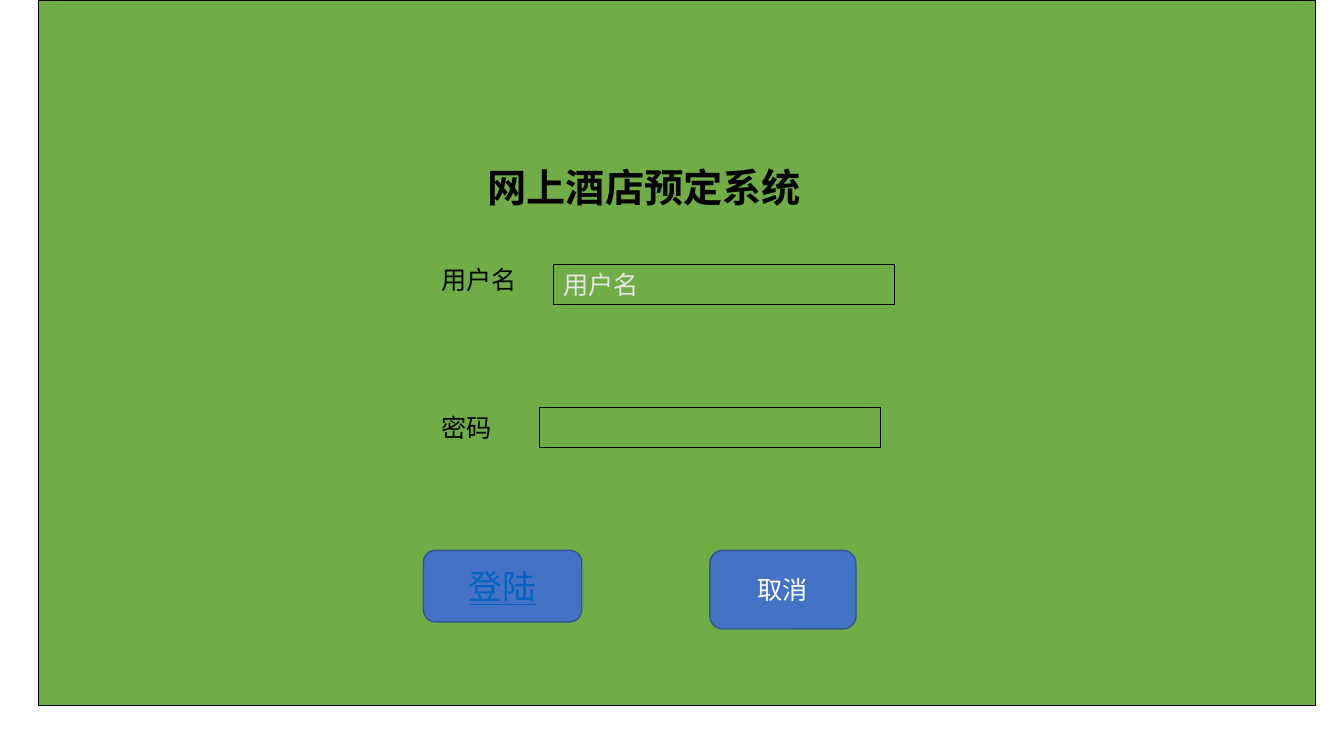
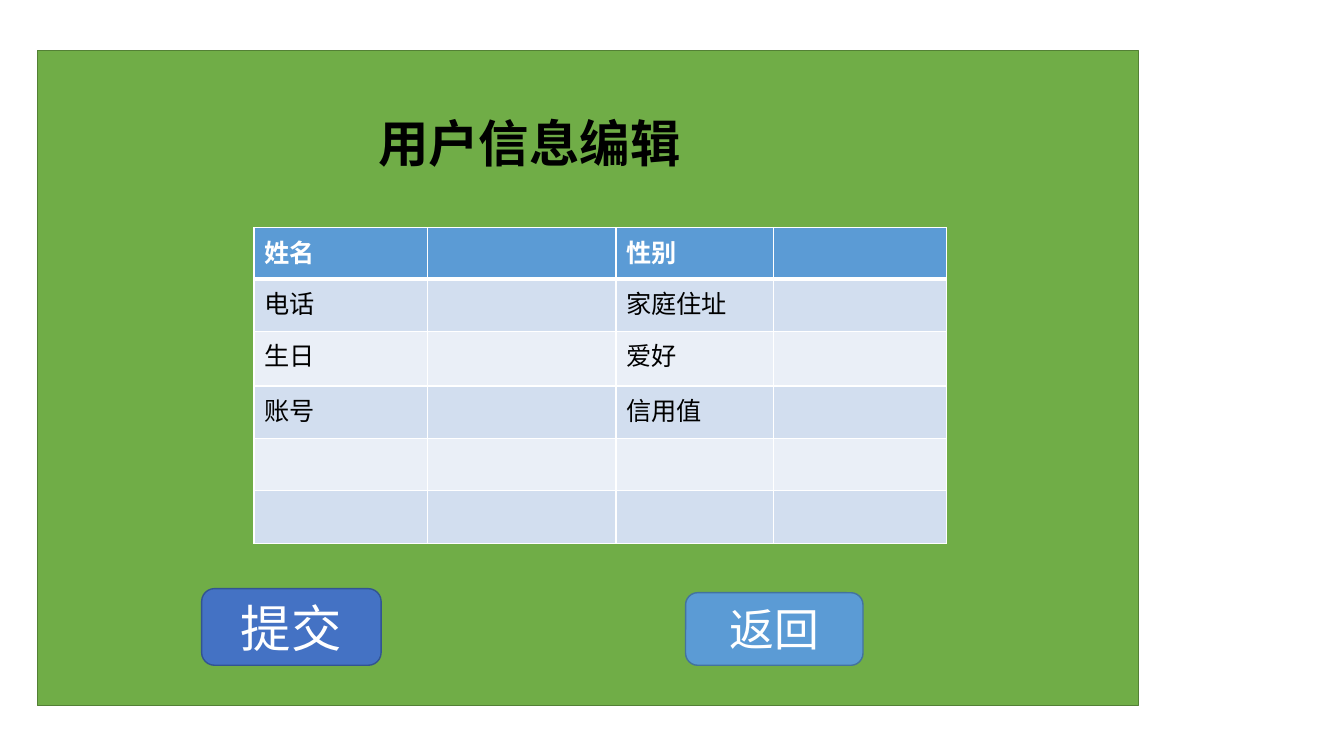
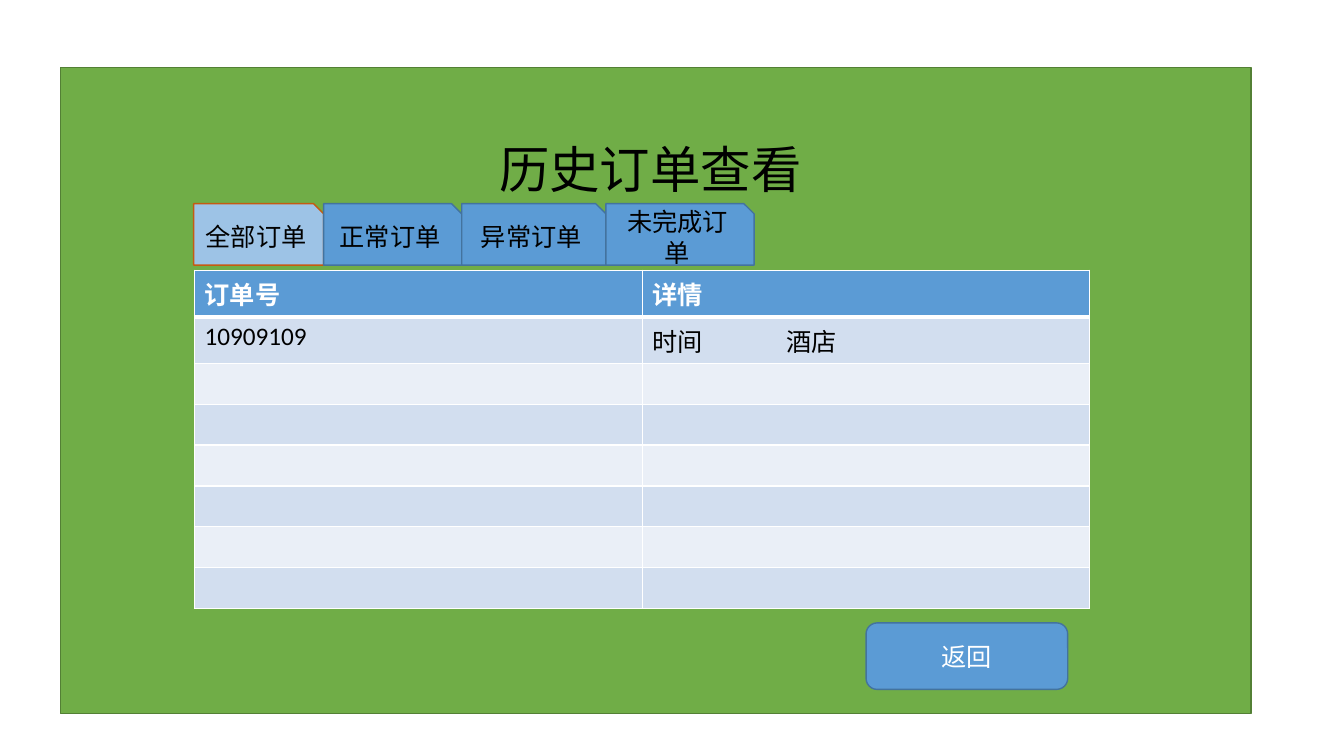
from itertools import accumulate
from lxml import etree
from pptx import Presentation
from pptx.dml.color import RGBColor
from pptx.enum.shapes import MSO_SHAPE as SHAPE
from pptx.enum.text import MSO_ANCHOR as ANCHOR, PP_ALIGN as ALIGN
from pptx.oxml.ns import qn
from pptx.util import Inches, Pt

rgb = RGBColor.from_string
FONT = "Calibri"
BLACK, WHITE, PALE_GREY = "000000", "FFFFFF", "E7E6E6"
GREEN, DARK_GREEN = "70AD47", "538035"
SKY, SKY_EDGE = "5B9BD5", "43739E"
BLUE, BLUE_EDGE = "4472C4", "325491"
LINK = "0563C1"
PALE_SKY, ORANGE = "9DC3E6", "C55A11"
BANDS = ["EAEFF7", "D2DEEF"]


def write(frame, text, size=18, color=BLACK, bold=False, align=ALIGN.LEFT):
    """Put one formatted run in the frame's first paragraph and return the run."""
    paragraph = frame.paragraphs[0]
    paragraph.alignment = align
    run = paragraph.add_run()
    run.text = text
    run.font.name, run.font.size, run.font.bold = FONT, Pt(size), bold
    run.font.color.rgb = rgb(color)
    return run


def add_box(slide, preset, place, fill, edge, width=1):
    box = slide.shapes.add_shape(preset, *map(Inches, place))
    box.shadow.inherit = False
    if fill:
        box.fill.solid()
        box.fill.fore_color.rgb = rgb(fill)
    else:
        box.fill.background()
    box.line.color.rgb = rgb(edge)
    box.line.width = Pt(width)
    box.text_frame.vertical_anchor = ANCHOR.MIDDLE
    return box


prs = Presentation()
prs.slide_width, prs.slide_height = Inches(13.33), Inches(7.5)
title_only = prs.slide_layouts[5]

# Green panel and title of every screen
screens = [
    ((0.38, 0, 12.67, 7), BLACK,
     "网上酒店预定系统", (3.5, 1.57, 5.78, 0.57), 28, True, ALIGN.CENTER),
    ((0.37, 0.5, 10.92, 6.5), DARK_GREEN,
     "用户信息编辑", (3.65, 1.06, 6.68, 0.7), 36, True, ALIGN.LEFT),
    ((0.6, 0.67, 11.81, 6.41), DARK_GREEN,
     "历史订单查看", (4.85, 1.32, 3.32, 0.71), 36, False, ALIGN.LEFT),
]
for panel_place, panel_edge, heading, place, size, bold, align in screens:
    slide = prs.slides.add_slide(title_only)
    panel = add_box(slide, SHAPE.RECTANGLE, panel_place, GREEN, panel_edge)
    slide.shapes._spTree.insert(2, panel._element)  # behind the title
    title = slide.shapes.title
    title.left, title.top, title.width, title.height = map(Inches, place)
    title.text_frame.vertical_anchor = ANCHOR.TOP
    write(title.text_frame, heading, size, bold=bold, align=align)
login, profile, orders = prs.slides

# Login fields
fields = [
    ("用户名", (4.28, 2.57, 1.07, 0.4), (5.49, 2.62, 3.38, 0.4), "用户名"),
    ("密码", (4.28, 4.04, 0.72, 0.4), (5.35, 4.04, 3.38, 0.4), ""),
]
for label, label_place, field_place, hint in fields:
    caption = login.shapes.add_textbox(*map(Inches, label_place)).text_frame
    caption.word_wrap = True
    write(caption, label)
    field = add_box(login, SHAPE.RECTANGLE, field_place, None, BLACK, 0.75)
    field.text_frame.vertical_anchor = ANCHOR.TOP
    if hint:
        write(field.text_frame, hint, color=PALE_GREY)

# Tables: slide, place, column widths, row heights, text by row
tables = [
    (profile, (2.52, 2.26, 6.86, 3.12), [1.72, 1.87, 1.56, 1.72],
     [0.51, 0.52, 0.54, 0.52, 0.52, 0.52],
     [["姓名", "", "性别", ""], ["电话", "", "家庭住址", ""],
      ["生日", "", "爱好", ""], ["账号", "", "信用值", ""]]),
    (orders, (1.93, 2.68, 8.89, 3.24), [4.44] * 2, [3.24 / 8] * 8,
     [["订单号", "详情"], ["10909109", "时间\t酒店"]]),
]
for slide, place, widths, heights, texts in tables:
    table = slide.shapes.add_table(
        len(heights), len(widths), *map(Inches, place)).table
    for column, width in zip(table.columns, widths):
        column.width = Inches(width)
    for r, height in enumerate(heights):
        table.rows[r].height = Inches(height)
        for c, cell in enumerate(table.rows[r].cells):
            tc_pr = cell._tc.get_or_add_tcPr()
            for side in "LRTB":
                thick = (r, side) in [(0, "B"), (1, "T")]
                border = etree.SubElement(tc_pr, qn(f"a:ln{side}"),
                                          w=str(Pt(3 if thick else 1)))
                paint = etree.SubElement(border, qn("a:solidFill"))
                etree.SubElement(paint, qn("a:srgbClr"), val=WHITE)
            cell.fill.solid()
            cell.fill.fore_color.rgb = rgb(BANDS[r % 2] if r else SKY)
            if r < len(texts) and texts[r][c]:
                write(cell.text_frame, texts[r][c],
                      color=BLACK if r else WHITE, bold=r == 0)

# Tab stop between time and hotel
details = table.cell(1, 1).text_frame.paragraphs[0]._p.get_or_add_pPr()
stops = etree.SubElement(details, qn("a:tabLst"))
etree.SubElement(stops, qn("a:tab"), pos=str(Inches(1.33)), algn="l")

# Order tabs, side by side
tab_names = ["全部订单", "正常订单", "异常订单", "未完成订单"]
tab_widths = [1.29, 1.37, 1.43, 1.47]
tab_lefts = accumulate(tab_widths, initial=1.92)
for name, left, width in zip(tab_names, tab_lefts, tab_widths):
    fill, edge = (PALE_SKY, ORANGE) if name == tab_names[0] else (SKY, SKY_EDGE)
    tab = add_box(orders, SHAPE.SNIP_1_RECTANGLE, (left, 2.02, width, 0.61),
                  fill, edge)
    write(tab.text_frame, name, align=ALIGN.CENTER)

# Buttons
buttons = [
    (login, "登陆", (4.2, 5.46, 1.57, 0.71), BLUE, BLUE_EDGE, 24, LINK),
    (login, "取消", (7.04, 5.46, 1.45, 0.78), BLUE, BLUE_EDGE, 18, WHITE),
    (profile, "提交", (2, 5.84, 1.78, 0.76), BLUE, BLUE_EDGE, 36, WHITE),
    (profile, "返回", (6.8, 5.88, 1.76, 0.72), SKY, SKY_EDGE, 32, WHITE),
    (orders, "返回", (8.59, 6.18, 2, 0.66), SKY, SKY_EDGE, 18, WHITE),
]
for slide, name, place, fill, edge, size, color in buttons:
    button = add_box(slide, SHAPE.ROUNDED_RECTANGLE, place, fill, edge)
    run = write(button.text_frame, name, size, color, align=ALIGN.CENTER)
    run.font.underline = color == LINK

prs.save("out.pptx")
